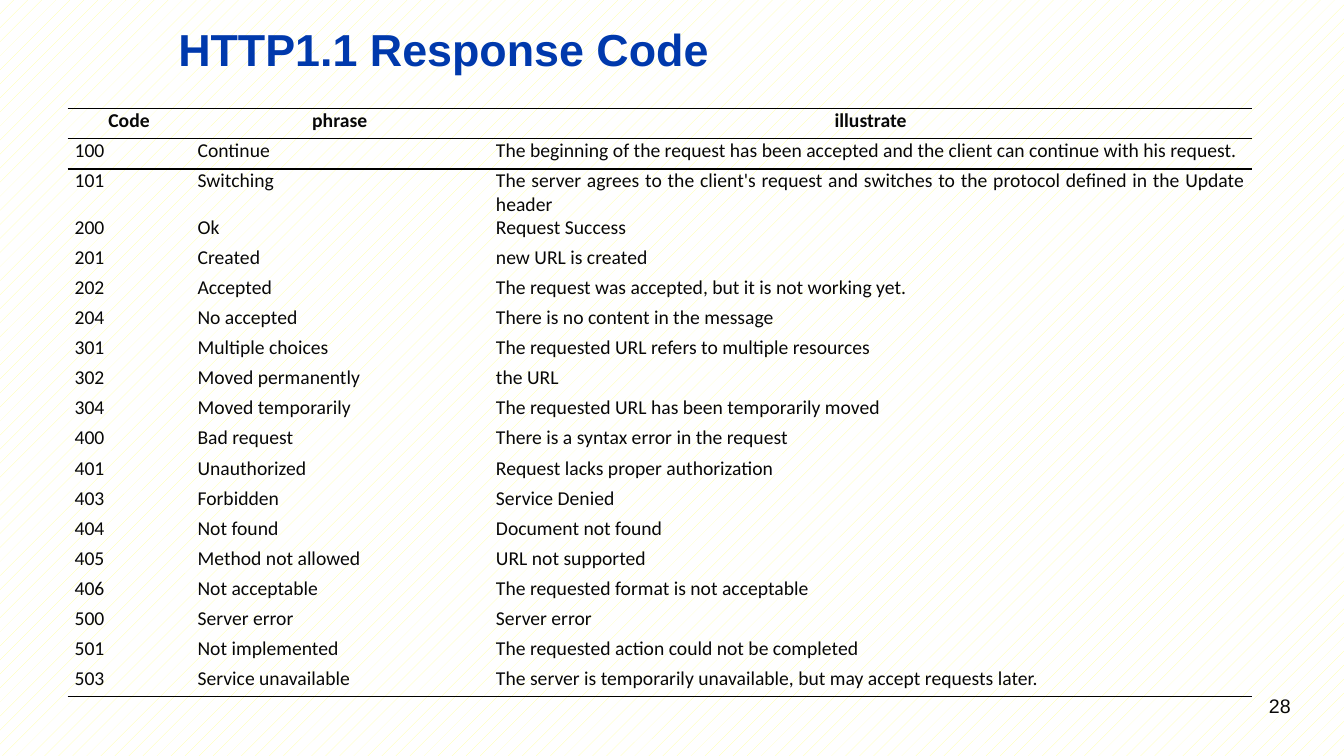
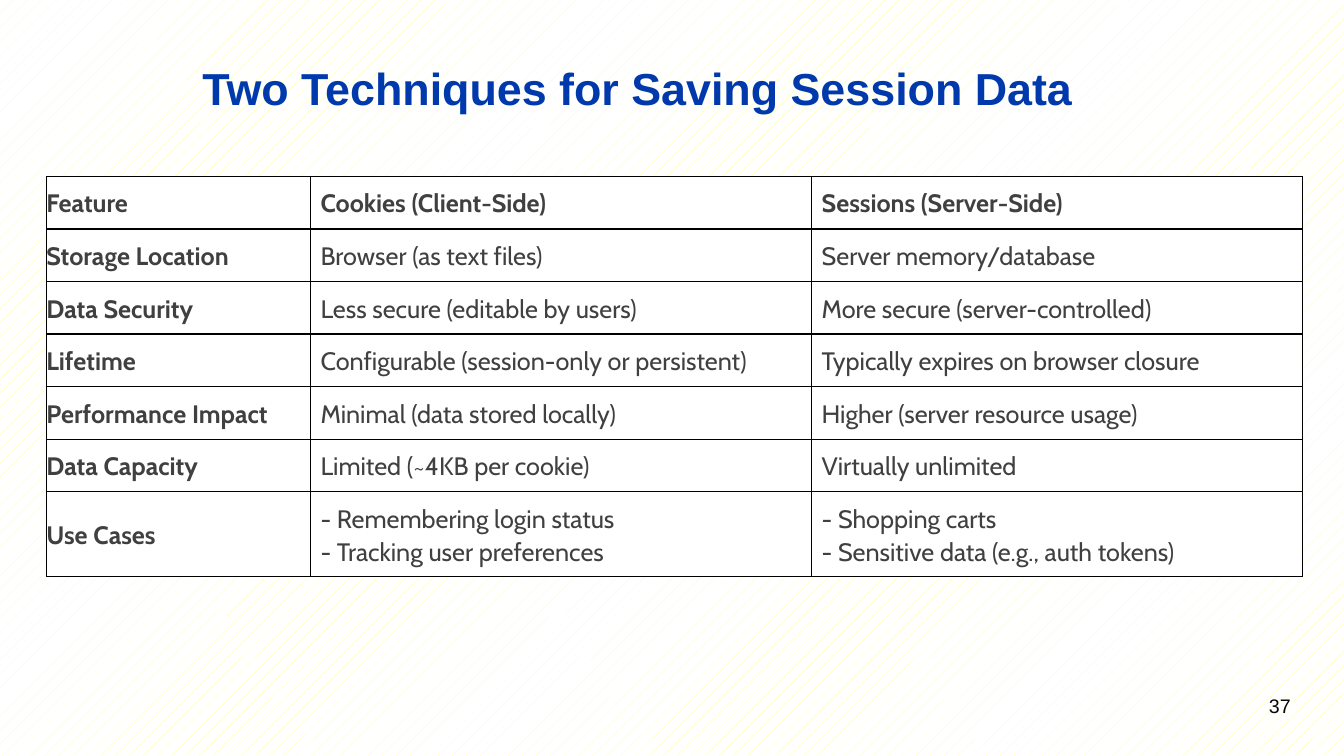
from lxml import etree
from pptx import Presentation
from pptx import util as u
from pptx.dml.color import RGBColor
from pptx.enum import dml, text
from pptx.oxml.ns import qn

BLUE, INK, GREY = "0039AC", "080808", "404040"
BLACK, WHITE, CREAM = "000000", "FFFFFF", "FFFF99"
PLAIN_TABLE = "{2D5ABB26-0587-4C30-8999-92F81FD0307C}"


def color(value):
    return RGBColor.from_string(value)


def apply(target, values):
    for name, value in values.items():
        setattr(target, name, value)


class Lecture:
    """Holds the shared style and the current slide."""

    title_font = {"name": "Arial", "size": u.Pt(32), "bold": True}
    number_font = {"name": "Arial", "size": u.Pt(14)}

    def __init__(self):
        self.deck = Presentation()
        self.deck.slide_width = u.Inches(13.33)
        self.deck.slide_height = u.Inches(7.5)
        self.page = None
        # Background shared by all slides
        fill = self.deck.slide_master.background.fill
        fill.patterned()
        fill.pattern = dml.MSO_PATTERN.PERCENT_5
        fill.fore_color.rgb = color(CREAM)
        fill.back_color.rgb = color(WHITE)

    def start_page(self, title, title_place, number):
        self.page = self.deck.slides.add_slide(self.deck.slide_layouts[6])
        self.label(title, title_place, self.title_font, BLUE,
                   anchor=text.MSO_ANCHOR.MIDDLE)
        self.label(str(number), (9.56, 6.83, 3.34, 0.52), self.number_font, INK,
                   align=text.PP_ALIGN.RIGHT)

    def set_words(self, para, words, font, ink, **layout):
        para.text = words
        apply(para, layout)
        for span in para.runs:
            apply(span.font, font)
            span.font.color.rgb = color(ink)

    def label(self, words, place, font, ink, anchor=text.MSO_ANCHOR.TOP,
              align=text.PP_ALIGN.LEFT):
        box = self.page.shapes.add_textbox(*map(u.Inches, place))
        apply(box.text_frame, {"word_wrap": True, "vertical_anchor": anchor})
        self.set_words(box.text_frame.paragraphs[0], words, font, ink, alignment=align)

    def table(self, rows, left, top, widths, height, style_cell):
        frame = self.page.shapes.add_table(
            len(rows), len(widths), u.Inches(left), u.Inches(top),
            u.Inches(sum(widths)), u.Inches(height))
        grid = frame.table
        apply(grid, {"first_row": False, "horz_banding": False})
        grid._tbl.tblPr.find(qn("a:tableStyleId")).text = PLAIN_TABLE
        for column, width in zip(grid.columns, widths):
            column.width = u.Inches(width)
        for r, row in enumerate(rows):
            for c, words in enumerate(row):
                style_cell(grid.cell(r, c), words, r, c)

    def borders(self, cell, sides):
        """Draw 1 pt lines on the given sides (any of L, R, T, B in that order)."""
        props = cell._tc.get_or_add_tcPr()
        for side in sides:
            line = etree.SubElement(props, qn("a:ln" + side), w=str(u.Pt(1)))
            fill = etree.SubElement(line, qn("a:solidFill"))
            etree.SubElement(fill, qn("a:srgbClr"), val=BLACK)

    def margins(self, cell, left, top, right, bottom):
        apply(cell, {"margin_left": u.Inches(left), "margin_top": u.Inches(top),
                     "margin_right": u.Inches(right), "margin_bottom": u.Inches(bottom)})


RESPONSE_CODES = [
    ("Code", "phrase", "illustrate"),
    ("100", "Continue", "The beginning of the request has been accepted and the client "
                        "can continue with his request."),
    ("101", "Switching", "The server agrees to the client's request and switches to the "
                         "protocol defined in the Update header"),
    ("200", "Ok", "Request Success"),
    ("201", "Created", "new URL is created"),
    ("202", "Accepted", "The request was accepted, but it is not working yet."),
    ("204", "No accepted", "There is no content in the message"),
    ("301", "Multiple choices", "The requested URL refers to multiple resources"),
    ("302", "Moved permanently", "the URL"),
    ("304", "Moved temporarily", "The requested URL has been temporarily moved"),
    ("400", "Bad request", "There is a syntax error in the request"),
    ("401", "Unauthorized", "Request lacks proper authorization"),
    ("403", "Forbidden", "Service Denied"),
    ("404", "Not found", "Document not found"),
    ("405", "Method not allowed", "URL not supported"),
    ("406", "Not acceptable", "The requested format is not acceptable"),
    ("500", "Server error", "Server error"),
    ("501", "Not implemented", "The requested action could not be completed"),
    ("503", "Service unavailable",
     "The server is temporarily unavailable, but may accept requests later."),
]

SESSION_FEATURES = [
    ("Feature", "Cookies (Client-Side)", "Sessions (Server-Side)"),
    ("Storage Location", "Browser (as text files)", "Server memory/database"),
    ("Data Security", "Less secure (editable by users)", "More secure (server-controlled)"),
    ("Lifetime", "Configurable (session-only or persistent)",
     "Typically expires on browser closure"),
    ("Performance Impact", "Minimal (data stored locally)", "Higher (server resource usage)"),
    ("Data Capacity", "Limited (~4KB per cookie)", "Virtually unlimited"),
    ("Use Cases", "- Remembering login status\n- Tracking user preferences",
     "- Shopping carts\n- Sensitive data (e.g., auth tokens)"),
]


def response_codes(lecture):
    last = len(RESPONSE_CODES) - 1

    def style_cell(cell, words, r, c):
        # Rules above and below the header, and below the last row
        lecture.borders(cell, {0: "TB", 1: "T", last: "B"}.get(r, ""))
        lecture.margins(cell, 0.07, 0, 0.07, 0)
        cell.fill.background()
        font = {"name": "Calibri", "size": u.Pt(14), "bold": r == 0}
        align = text.PP_ALIGN.JUSTIFY if r else text.PP_ALIGN.CENTER
        lecture.set_words(cell.text_frame.paragraphs[0], words, font, INK, alignment=align)

    lecture.start_page("HTTP1.1 Response Code", (1.67, 0.15, 9.34, 0.67), 28)
    lecture.table(RESPONSE_CODES, 0.67, 1.08, (1.22, 2.96, 7.57), 5.67, style_cell)


def session_data(lecture):
    def style_cell(cell, words, r, c):
        lecture.borders(cell, "LRTB")
        lecture.margins(cell, 0.1 if c else 0, 0.1, 0.1, 0.1)
        cell.vertical_anchor = text.MSO_ANCHOR.MIDDLE
        cell.fill.solid()
        cell.fill.fore_color.rgb = color(WHITE)
        font = {"name": "Cabin", "size": u.Pt(18), "bold": r == 0 or c == 0}
        lecture.set_words(cell.text_frame.paragraphs[0], words, font, GREY, line_spacing=1.07)

    lecture.start_page("Two Techniques for Saving Session Data", (1.91, 0.57, 9.34, 0.6), 37)
    lecture.table(SESSION_FEATURES, 0.46, 1.75, (2.62, 4.97, 4.87), 3.5, style_cell)


def main():
    lecture = Lecture()
    response_codes(lecture)
    session_data(lecture)
    lecture.deck.save("out.pptx")


if __name__ == "__main__":
    main()
